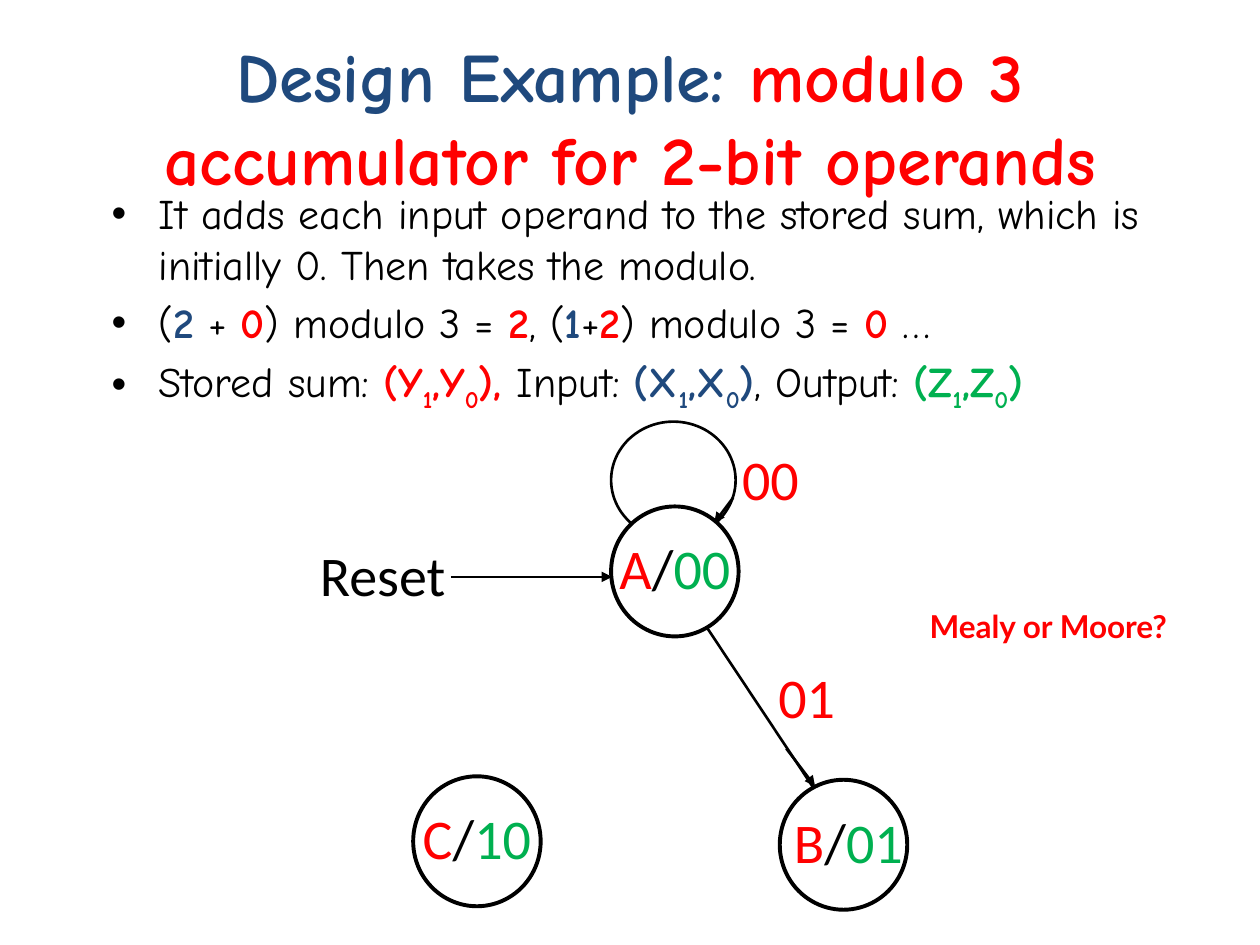
from lxml.etree import SubElement
from pptx import Presentation
from pptx.dml.color import RGBColor
from pptx.enum.shapes import MSO_CONNECTOR as Link, MSO_SHAPE as Shape
from pptx.enum.text import MSO_ANCHOR as Anchor, MSO_AUTO_SIZE as AutoSize, PP_ALIGN as Align
from pptx.oxml.ns import qn
from pptx.util import Cm, Pt

BLACK = RGBColor(0x00, 0x00, 0x00)
WHITE = RGBColor(0xFF, 0xFF, 0xFF)
RED = RGBColor(0xFF, 0x00, 0x00)
NAVY = RGBColor(0x1F, 0x49, 0x7D)
GREEN = RGBColor(0x00, 0xB0, 0x50)

STATE_WIDTH, STATE_HEIGHT = 2.57, 2.62
STATE_LABEL_WIDTH = 3
LABEL_HEIGHT = 1.6


def write(para, spans, size, font, bold_colors=False):
    """Fill a paragraph with (text, colour) spans; "_" before a text lowers it."""
    para.font.size = Pt(size)
    para.font.name = font
    for text, color in spans:
        span = para.add_run()
        span.text = text.removeprefix("_")
        span.font.color.rgb = color
        if bold_colors:
            span.font.bold = color != BLACK
        if text.startswith("_"):
            span.font._element.set("baseline", "-25000")


def add_label(page, left, top, width, spans, size=32, font="Calibri",
              height=LABEL_HEIGHT, align=Align.LEFT, wrap=True, bold=False):
    box = page.shapes.add_textbox(Cm(left), Cm(top), Cm(width), Cm(height))
    box.text_frame.word_wrap = wrap
    para = box.text_frame.paragraphs[0]
    para.alignment = align
    write(para, spans, size, font, bold)


def add_circle(page, left, top, width, height, line_width, fill=None):
    circle = page.shapes.add_shape(Shape.OVAL, Cm(left), Cm(top), Cm(width), Cm(height))
    circle.shadow.inherit = False
    if fill is None:
        circle.fill.background()
    else:
        circle.fill.solid()
        circle.fill.fore_color.rgb = fill
    circle.line.color.rgb = BLACK
    circle.line.width = Pt(line_width)


def add_line(page, x1, y1, x2, y2, arrow=True):
    line = page.shapes.add_connector(Link.STRAIGHT, Cm(x1), Cm(y1), Cm(x2), Cm(y2))
    line.line.color.rgb = BLACK
    line.line.width = Pt(1.5)
    if arrow:
        SubElement(line.line._get_or_add_ln(), qn("a:tailEnd"), type="triangle")
    SubElement(line._element.spPr, qn("a:effectLst"))


def add_state(page, left, top, name, output, fill=None, label_shift=0):
    """A state circle with its name and Moore output centred on it."""
    add_circle(page, left, top, STATE_WIDTH, STATE_HEIGHT, 2.25, fill)
    label_left = left + (STATE_WIDTH - STATE_LABEL_WIDTH) / 2 + label_shift
    add_label(page, label_left, top + 0.43, STATE_LABEL_WIDTH,
              [(name, RED), ("/", BLACK), (output, GREEN)],
              align=Align.CENTER, wrap=False)


def fill_title(page, left, top, width, height):
    title = page.shapes.title
    title.left, title.top, title.width, title.height = map(Cm, (left, top, width, height))
    title.text_frame.auto_size = AutoSize.NONE
    title.text_frame.vertical_anchor = Anchor.MIDDLE
    para = title.text_frame.paragraphs[0]
    para.alignment = Align.CENTER
    write(para, [("Design Example: ", NAVY),
                 ("modulo 3 accumulator for 2-bit operands", RED)],
          39.6, "Comic Neue", bold_colors=True)


def pair(letter, color, end=")"):
    """Spans of a two-bit variable with index digits."""
    return [(f"({letter}", color), ("_1", color), (f",{letter}", color),
            ("_0", color), (end, color)]


def add_bullets(page, left, top, width, height):
    items = [
        [("It adds each input operand to the stored sum, which is initially 0. "
          "Then takes the modulo.", BLACK)],
        [("(", BLACK), ("2", NAVY), (" + ", BLACK), ("0", RED),
         (") modulo 3 = ", BLACK), ("2", RED), (", (", BLACK), ("1", NAVY),
         ("+", BLACK), ("2", RED), (") modulo 3 = ", BLACK), ("0", RED), (" …", BLACK)],
        [("Stored sum: ", BLACK), *pair("Y", RED, "), "), ("Input: ", BLACK),
         *pair("X", NAVY), (", Output: ", BLACK), *pair("Z", GREEN)],
    ]
    box = page.shapes.add_textbox(Cm(left), Cm(top), Cm(width), Cm(height))
    frame = box.text_frame
    frame.word_wrap = True
    for number, spans in enumerate(items):
        para = frame.add_paragraph() if number else frame.paragraphs[0]
        if number:
            para.space_before = Pt(4.8)
        props = para._element.get_or_add_pPr()
        props.set("marL", str(Cm(0.95)))
        props.set("indent", str(Cm(-0.95)))
        SubElement(props, qn("a:buFont"), typeface="Arial")
        SubElement(props, qn("a:buChar"), char="•")
        write(para, spans, 24, "Comic Neue", bold_colors=True)


def add_state_diagram(page, left, top):
    # States B and C
    add_state(page, left + 9.72, top + 7.22, "B", "01", label_shift=0.1)
    add_state(page, left + 2.33, top + 7.15, "C", "10")

    # State A, covering the foot of its self-loop
    add_circle(page, left + 6.32, top, 2.51, 2.36, 1.5)
    add_line(page, left + 8.78, top + 1.53, left + 8.4, top + 2.04)
    add_state(page, left + 6.32, top + 1.71, "A", "00", fill=WHITE)

    # Transition from A to B, with a short arrow at its end
    add_line(page, left + 8.25, top + 4.15, left + 10.41, top + 7.4, arrow=False)
    add_line(page, left + 9.85, top + 6.59, left + 10.43, top + 7.35)

    # Reset arrow into A
    add_line(page, left + 3.09, top + 3.13, left + 6.34, top + 3.13)

    # Labels of the transitions
    for x, y, width, text, color in [(8.71, 0.34, 1.65, "00", RED),
                                     (9.44, 4.73, 1.65, "01", RED),
                                     (0.2, 2.27, 3.18, "Reset", BLACK)]:
        add_label(page, left + x, top + y, width, [(text, color)])


def main():
    deck = Presentation()
    deck.slide_width, deck.slide_height = Cm(25.4), Cm(19.05)
    page = deck.slides.add_slide(deck.slide_layouts[5])
    fill_title(page, 1.27, 0.76, 22.86, 3.18)
    add_bullets(page, 2, 3.66, 22.56, 13.97)
    add_state_diagram(page, 6, 8.5)
    # Question to the class
    add_label(page, 18.49, 12.12, 5.84, [("Mealy or Moore?", RED)],
              size=18, font="Lato", height=1.02, wrap=False, bold=True)
    deck.save("out.pptx")


if __name__ == "__main__":
    main()
